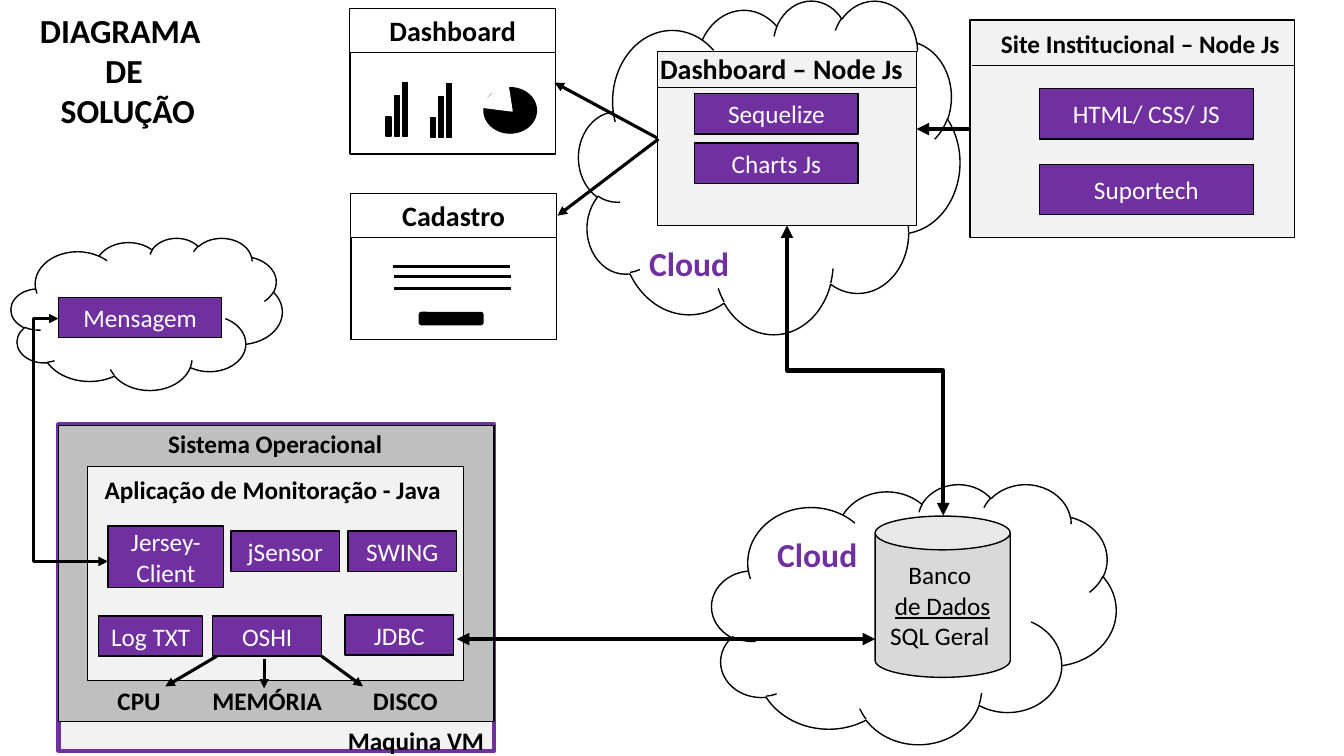
from dataclasses import dataclass
from typing import Any

from lxml.etree import SubElement
from pptx import Presentation
from pptx.dml.color import RGBColor
from pptx.enum.shapes import MSO_CONNECTOR as LINK, MSO_SHAPE as SHAPE
from pptx.enum.text import MSO_ANCHOR as ANCHOR, MSO_AUTO_SIZE as FIT, PP_ALIGN as ALIGN
from pptx.oxml.ns import qn
from pptx.util import Inches, Pt

BLACK, WHITE, PURPLE = "000000", "FFFFFF", "7030A0"
PANEL, SYSTEM, STORE = "F2F2F2", "BFBFBF", "D9D9D9"
HEADING = {"size": 18, "bold": True}
CARD_HEADING = {"size": 20, "bold": True}
CLOUD_NAME = {"size": 24, "bold": True, "color": PURPLE}


def rgb(code):
    return RGBColor.from_string(code)


def write(frame, text, size=18, color=BLACK, bold=False, align=ALIGN.CENTER,
          anchor=ANCHOR.MIDDLE, underlined=()):
    """Fill a text frame, one paragraph per line of text."""
    frame.text = text
    for name, value in {"word_wrap": True, "auto_size": FIT.NONE,
                        "vertical_anchor": anchor}.items():
        setattr(frame, name, value)
    for number, paragraph in enumerate(frame.paragraphs):
        paragraph.alignment = align
        looks = {"name": "Calibri", "size": Pt(size), "bold": bold,
                 "underline": number in underlined}
        for run in paragraph.runs:
            for name, value in looks.items():
                setattr(run.font, name, value)
            run.font.color.rgb = rgb(color)


@dataclass
class Region:
    """Places parts relative to its own top left corner."""
    shapes: Any
    left: float = 0
    top: float = 0

    def spot(self, x, y):
        return Inches(self.left + x), Inches(self.top + y)

    def box(self, x, y, w, h, fill, text="", kind=SHAPE.RECTANGLE, line=BLACK,
            weight=1, **style):
        shape = self.shapes.add_shape(kind, *self.spot(x, y), Inches(w), Inches(h))
        shape.shadow.inherit = False
        shape.fill.solid()
        shape.fill.fore_color.rgb = rgb(fill)
        shape.line.color.rgb = rgb(line)
        shape.line.width = Pt(weight)
        if text:
            write(shape.text_frame, text, **style)
        return shape

    def module(self, x, y, w, text, h=0.4):
        return self.box(x, y, w, h, PURPLE, text, color=WHITE)

    def label(self, x, y, w, text, h=0.4, **style):
        area = self.shapes.add_textbox(*self.spot(x, y), Inches(w), Inches(h))
        write(area.text_frame, text, **style)

    def link(self, start, end, weight=2.25, heads=(), kind=LINK.STRAIGHT,
             bend=None, turn=0):
        line = self.shapes.add_connector(kind, *self.spot(*start), *self.spot(*end))
        line.line.color.rgb = rgb(BLACK)
        line.line.width = Pt(weight)
        properties = line._element.spPr
        for head in heads:
            SubElement(properties.find(qn("a:ln")), qn(f"a:{head}"), type="triangle")
        SubElement(properties, qn("a:effectLst"))
        if turn:
            properties.find(qn("a:xfrm")).set("rot", str(turn * 60000))
        if bend is not None:
            guides = properties.find(qn("a:prstGeom")).find(qn("a:avLst"))
            SubElement(guides, qn("a:gd"), name="adj1", fmla=f"val {round(bend * 100000)}")


def heading(slide, x, y, w, h):
    title = slide.shapes.title
    for name, value in {"left": x, "top": y, "width": w, "height": h}.items():
        setattr(title, name, Inches(value))
    write(title.text_frame, "DIAGRAMA \nDE\n SOLUÇÃO", size=24, bold=True)


def clouds(region):
    for area in [(5.74, 0, 3.78, 3.31), (7.06, 4.8, 4.01, 2.58), (0.11, 2.36, 2.69, 1.51)]:
        region.box(*area, WHITE, kind=SHAPE.CLOUD)
    for x, y in [(6.34, 2.36), (7.61, 5.25)]:
        region.label(x, y, 1.2, "Cloud", h=0.5, align=ALIGN.LEFT, **CLOUD_NAME)
    region.module(0.58, 2.95, 1.62, "Mensagem")


def virtual_machine(region):
    region.box(0, 0, 4.32, 3.24, PANEL, line=PURPLE, weight=3)
    region.box(0, 0.01, 4.32, 2.94, SYSTEM)
    region.box(0.29, 0.42, 3.73, 2.12, PANEL)
    region.label(0.36, 0.45, 3.75, "Aplicação de Monitoração - Java", align=ALIGN.LEFT, **HEADING)
    region.label(0.99, -0.01, 2.9, "Sistema Operacional", align=ALIGN.LEFT, **HEADING)
    region.label(2.32, 2.99, 2, "Maquina VM", h=0.3, align=ALIGN.RIGHT, **HEADING)
    # Libraries
    region.module(0.49, 1.01, 1.15, "Jersey-Client", h=0.61)
    for x, y, w, name in [(1.71, 1.06, 1.08, "jSensor"), (2.87, 1.06, 1.08, "SWING"),
                          (0.4, 1.9, 1.03, "Log TXT"), (1.53, 1.9, 1.08, "OSHI"),
                          (2.84, 1.89, 1.08, "JDBC")]:
        region.module(x, y, w, name)
    # Monitored hardware
    for start, end, center, name in [((1.57, 2.3), (1.06, 2.6), 0.8, "CPU"),
                                     ((2.04, 2.33), (2.04, 2.62), 2.07, "MEMÓRIA"),
                                     ((2.61, 2.3), (3.02, 2.6), 3.44, "DISCO")]:
        region.link(start, end, heads=["tailEnd"])
        region.label(center - 0.75, 2.54, 1.5, name, **HEADING)


def database(region):
    region.box(0, 0, 1.34, 1.6, STORE, "Banco \nde Dados\nSQL Geral ",
               kind=SHAPE.CAN, underlined=[1])


def website(region):
    region.box(0, 0, 3.22, 2.16, PANEL)
    region.label(0.21, 0.03, 3.2, "Site Institucional – Node Js", align=ALIGN.LEFT, **HEADING)
    region.link((0.02, 0.45), (3.22, 0.45), weight=0.5)
    for y, name in [(0.68, "HTML/ CSS/ JS"), (1.43, "Suportech")]:
        region.module(0.69, y, 2.12, name, h=0.5)


def node_dashboard(region):
    region.box(0, 0, 2.57, 1.73, PANEL)
    region.label(-0.11, -0.05, 2.68, "Dashboard – Node Js", h=0.44, **CARD_HEADING)
    region.link((0.01, 0.36), (2.57, 0.36), weight=0.5)
    for y, name in [(0.42, "Sequelize"), (0.91, "Charts Js")]:
        region.module(0.37, y, 1.62, name)


def screen(region, name):
    region.box(0, 0.02, 2.04, 1.43, WHITE)
    region.box(0, 0, 2.04, 0.44, WHITE, name, weight=0.75, **CARD_HEADING)


def dashboard_screen(region):
    screen(region, "Dashboard")
    # Bar charts
    for x, base in [(0.36, 1.27), (0.8, 1.28)]:
        for step, height in enumerate([0.19, 0.4, 0.53]):
            region.box(x + step * 0.08, base - height, 0.05, height, BLACK)
    # Pie chart with a slice cut out
    region.box(1.33, 0.79, 0.52, 0.45, BLACK, kind=SHAPE.OVAL)
    cut = region.box(1.32, 0.8, 0.39, 0.26, WHITE, kind=SHAPE.ISOSCELES_TRIANGLE, line=WHITE)
    cut.rotation = 134.2


def form_screen(region):
    screen(region, "Cadastro")
    for x, y in [(0.42, 0.72), (0.43, 0.82), (0.43, 0.94)]:
        region.link((x, y), (x + 1.16, y))
    region.box(0.68, 1.18, 0.63, 0.12, BLACK, kind=SHAPE.ROUNDED_RECTANGLE)


def connections(region):
    both = ["headEnd", "tailEnd"]
    region.link((6.52, 1.37), (5.5, 0.82), heads=["tailEnd"])
    region.link((6.53, 1.38), (5.53, 2.14), heads=["tailEnd"])
    region.link((9.62, 1.28), (9.09, 1.28), weight=3, heads=["tailEnd"])
    region.link((4.53, 6.34), (8.68, 6.34), weight=3, heads=both)
    # Dashboard to database, turned so that it leaves downwards
    region.link((10.02, 2.9), (7.14, 4.45), weight=3, heads=both, kind=LINK.ELBOW, turn=270)
    # Messages to the Java client, bent out to the left
    region.link((0.58, 3.16), (1.07, 5.57), heads=both, kind=LINK.ELBOW, bend=-0.51)


deck = Presentation()
deck.slide_width, deck.slide_height = Inches(13.33), Inches(7.5)
slide = deck.slides.add_slide(deck.slide_layouts[5])
heading(slide, 0.03, 0.04, 2.4, 1.31)
for draw, left, top in [(clouds, 0, 0), (virtual_machine, 0.58, 4.21), (database, 8.68, 5.12),
                        (website, 9.62, 0.2), (node_dashboard, 6.52, 0.51),
                        (dashboard_screen, 3.47, 0.08), (form_screen, 3.48, 1.92),
                        (connections, 0, 0)]:
    draw(Region(slide.shapes, left, top))
deck.save("out.pptx")
